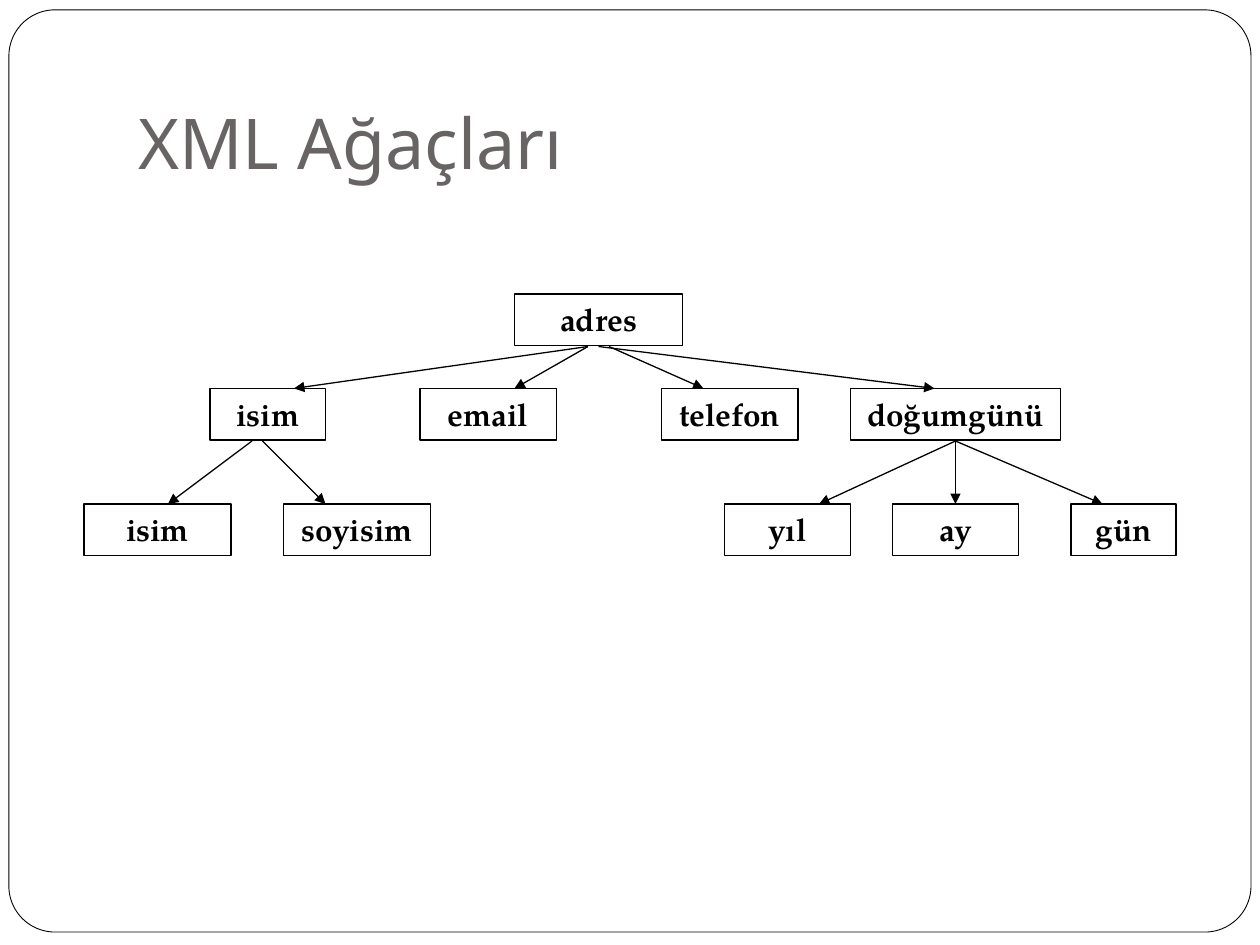
"""Build a slide showing an XML address tree."""
from dataclasses import dataclass

from lxml.etree import SubElement
from pptx import Presentation
from pptx.dml.color import RGBColor
from pptx.enum.shapes import MSO_CONNECTOR, MSO_SHAPE
from pptx.enum.text import MSO_ANCHOR, MSO_AUTO_SIZE, PP_ALIGN
from pptx.oxml.ns import qn
from pptx.util import Cm, Length, Pt

BLACK, WHITE, GREY = "000000", "FFFFFF", "696464"
GRID_CM = 2.54 / 12
NODE_HEIGHT = Cm(1.04)


@dataclass(frozen=True)
class Node:
    text: str
    left: int
    width: int


@dataclass(frozen=True)
class Arrow:
    start: int
    end: int


@dataclass(frozen=True)
class Level:
    top: int
    nodes: tuple[Node, ...]
    arrows: tuple[Arrow, ...] = ()


LEVELS = (
    Level(28, (Node("adres", 49, 16),),
          (Arrow(56, 28), Arrow(56, 49), Arrow(58, 67), Arrow(57, 89))),
    Level(37, (Node("isim", 20, 11), Node("email", 40, 13),
               Node("telefon", 63, 13), Node("doğumgünü", 81, 20)),
          (Arrow(24, 16), Arrow(25, 31), Arrow(91, 78), Arrow(91, 91), Arrow(91, 105))),
    Level(48, (Node("isim", 8, 14), Node("soyisim", 27, 14), Node("yıl", 69, 12),
               Node("ay", 85, 12), Node("gün", 102, 10))),
)


def grid(steps: int) -> Length:
    """Convert grid steps to a length."""
    return Cm(steps * GRID_CM)


def color(value: str) -> RGBColor:
    """Convert a hex string to a colour."""
    return RGBColor.from_string(value)


def style_line(shape, width: float) -> None:
    """Give a shape a black line."""
    shape.line.color.rgb = color(BLACK)
    shape.line.width = Pt(width)


def style_font(paragraph, name: str, size: int, value: str, bold: bool) -> None:
    """Set the font of a paragraph."""
    font = paragraph.font
    font.name, font.size, font.bold = name, Pt(size), bold
    font.color.rgb = color(value)


def format_title(title) -> None:
    """Place and fill the title."""
    title.left, title.top, title.width, title.height = Cm(2.54), Cm(0.76), Cm(21.59), Cm(3.18)
    frame = title.text_frame
    frame.text = "XML Ağaçları"
    frame.vertical_anchor = MSO_ANCHOR.BOTTOM
    frame.margin_bottom = Cm(0.25)
    frame.paragraphs[0].alignment = PP_ALIGN.LEFT
    style_font(frame.paragraphs[0], "Noto Sans", 40, GREY, False)


def add_border(page) -> None:
    """Draw the rounded border behind the title."""
    border = page.shapes.add_shape(
        MSO_SHAPE.ROUNDED_RECTANGLE, Cm(0.18), Cm(0.2), Cm(25.04), Cm(18.59))
    border.adjustments[0] = 0.05
    border.shadow.inherit = False
    border.fill.solid()
    border.fill.fore_color.rgb = color(WHITE)
    style_line(border, 0.5)
    page.shapes.title.element.addprevious(border.element)


def add_node(page, node: Node, top: int) -> None:
    """Draw one labelled tree node."""
    box = page.shapes.add_shape(
        MSO_SHAPE.RECTANGLE, grid(node.left), grid(top), grid(node.width), NODE_HEIGHT)
    box.shadow.inherit = False
    box.fill.background()
    style_line(box, 0.75)
    frame = box.text_frame
    frame.text = node.text
    frame.word_wrap = True
    frame.auto_size = MSO_AUTO_SIZE.SHAPE_TO_FIT_TEXT
    frame.vertical_anchor = MSO_ANCHOR.TOP
    para = frame.paragraphs[0]
    para.alignment = PP_ALIGN.CENTER
    style_font(para, "TeX Gyre Pagella", 18, BLACK, True)


def add_arrow(page, arrow: Arrow, top: int, bottom: int) -> None:
    """Draw an arrow from a parent to a child."""
    line = page.shapes.add_connector(
        MSO_CONNECTOR.STRAIGHT, grid(arrow.start), grid(top), grid(arrow.end), grid(bottom))
    style_line(line, 0.75)
    SubElement(line.line._get_or_add_ln(), qn("a:tailEnd"), type="triangle")
    SubElement(line.element.spPr, qn("a:effectLst"))


def main() -> None:
    """Build and save the deck."""
    deck = Presentation()
    deck.slide_width, deck.slide_height = Cm(25.4), Cm(19.05)
    page = deck.slides.add_slide(deck.slide_layouts[5])
    format_title(page.shapes.title)
    add_border(page)
    for level in LEVELS:
        for node in level.nodes:
            add_node(page, node, level.top)
    for level, below in zip(LEVELS, LEVELS[1:]):
        for arrow in level.arrows:
            add_arrow(page, arrow, level.top + 5, below.top)
    deck.save("out.pptx")


main()
